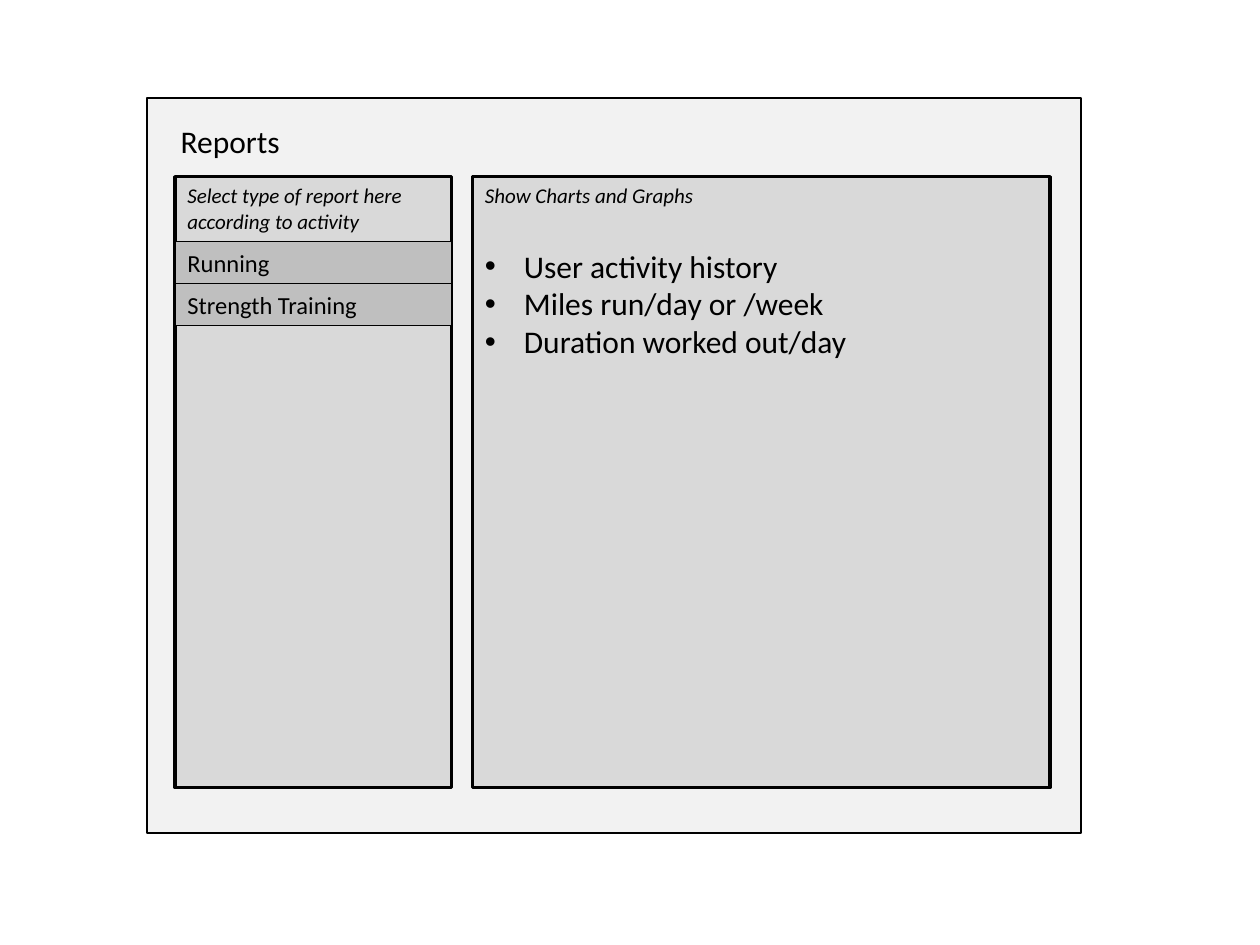
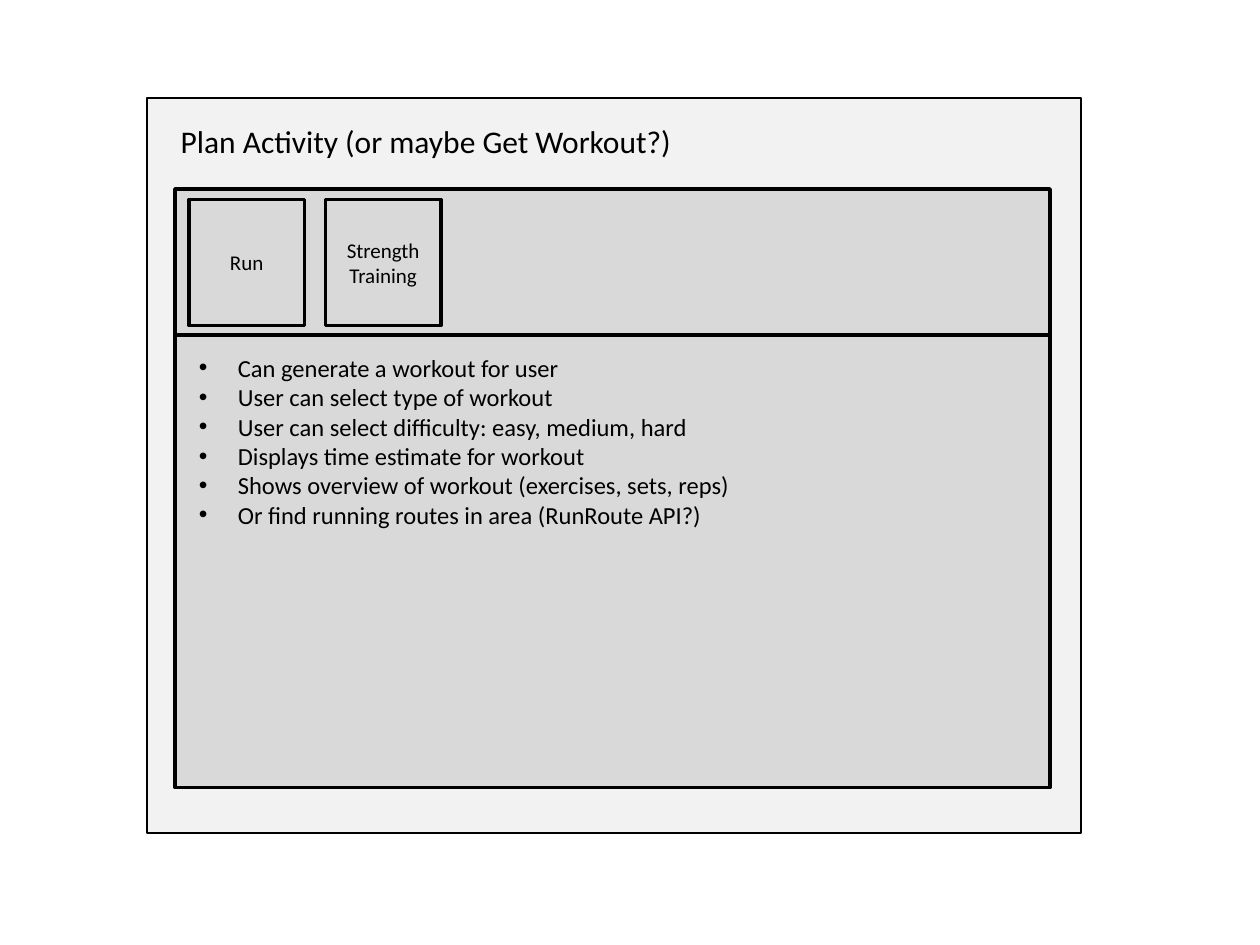
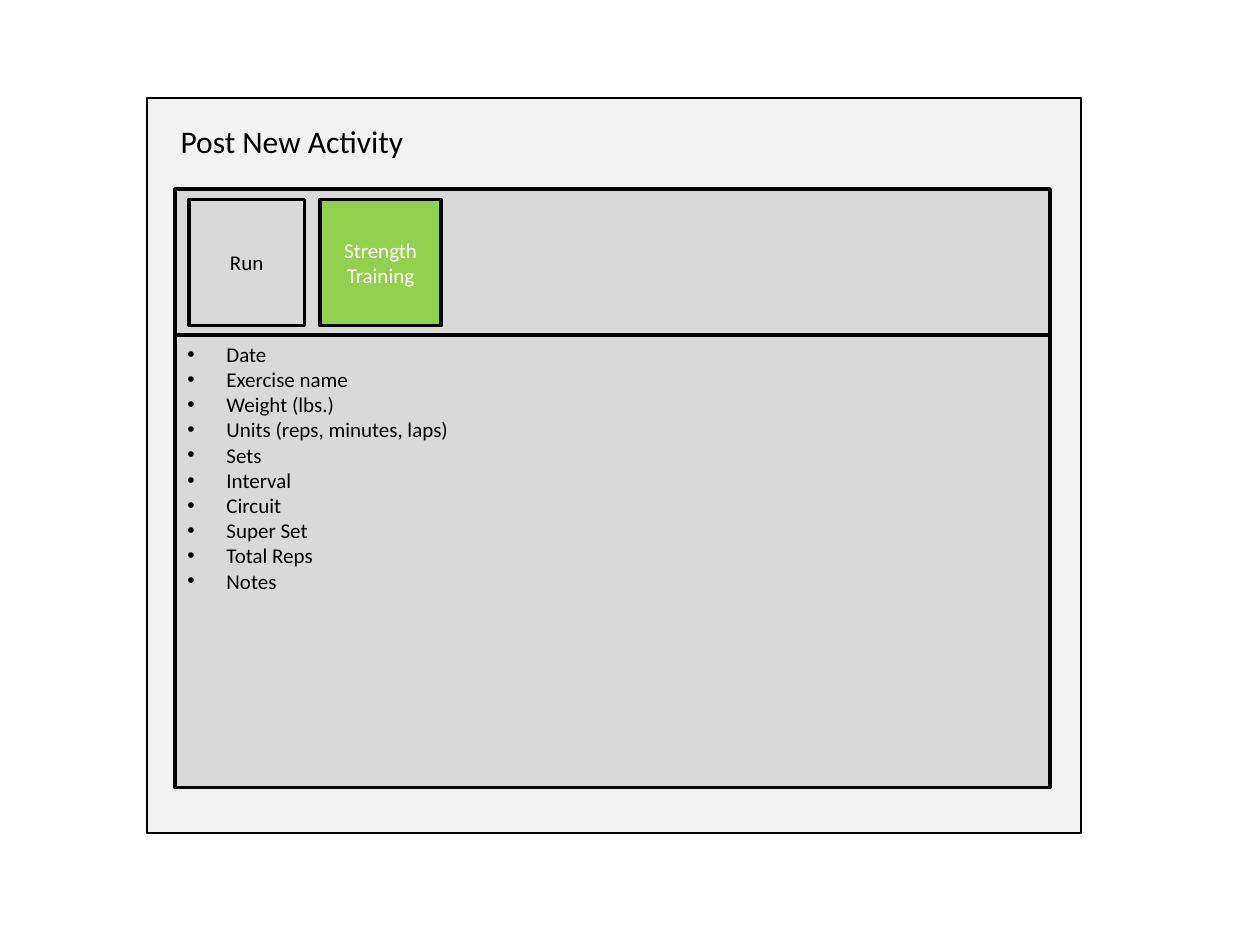
from lxml.etree import SubElement
from pptx import Presentation
from pptx.dml.color import RGBColor
from pptx.enum.shapes import MSO_SHAPE
from pptx.enum.text import MSO_ANCHOR as ANCHOR, MSO_AUTO_SIZE as AUTO_SIZE, PP_ALIGN as ALIGN
from pptx.oxml.ns import qn
from pptx.util import Inches, Pt

BLACK = RGBColor(0x00, 0x00, 0x00)
WHITE = RGBColor(0xFF, 0xFF, 0xFF)
FRAME_GRAY = RGBColor(0xF2, 0xF2, 0xF2)
PANEL_GRAY = RGBColor(0xD9, 0xD9, 0xD9)
ROW_GRAY = RGBColor(0xBF, 0xBF, 0xBF)
SELECTED_GREEN = RGBColor(0x92, 0xD0, 0x50)
FONT = "Calibri"
BULLET_INDENT = Inches(0.31)

presentation = Presentation()
presentation.slide_width = Inches(10)
presentation.slide_height = Inches(7.5)
UNIT = presentation.slide_width // 360

LEFT, RIGHT, BOTTOM = 50, 300, 225
REPORT_TOP, SIDEBAR_WIDTH, CHARTS_LEFT = 50.5, 79, 135
ROW_TOP, ROW_HEIGHT = 69, 12
TABS_TOP, DETAILS_TOP = 54, 95.75
TILE_TOP, TILE_HEIGHT, TILES_RIGHT = 57, 36, 126


def add_box(slide, left, top, width, height, fill=None, line_width=2, anchor=ANCHOR.TOP):
    box = slide.shapes.add_shape(
        MSO_SHAPE.RECTANGLE, *(int(units * UNIT) for units in (left, top, width, height)))
    box.shadow.inherit = False
    if fill is None:
        box.fill.background()
    else:
        box.fill.solid()
        box.fill.fore_color.rgb = fill
    box.line.color.rgb = BLACK
    box.line.width = Pt(line_width)
    box.text_frame.vertical_anchor = anchor
    return box


def add_lines(text_frame, lines, size, color=BLACK, align=ALIGN.LEFT, italic=False, bulleted=False):
    for line in lines:
        paragraph = text_frame.add_paragraph() if text_frame.text else text_frame.paragraphs[0]
        paragraph.text = line
        paragraph.alignment = align
        font = paragraph.runs[0].font
        font.name = FONT
        font.size = Pt(size)
        font.italic = italic
        font.color.rgb = color
        if bulleted:
            properties = paragraph._p.get_or_add_pPr()
            properties.set("marL", str(BULLET_INDENT))
            properties.set("indent", str(-BULLET_INDENT))
            SubElement(properties, qn("a:buFont"), typeface="Arial")
            SubElement(properties, qn("a:buChar"), char="•")


slides = []
for heading, title_width in (
    ("Reports", 87),
    ("Plan Activity (or maybe Get Workout?)", 252),
    ("Post New Activity", 87),
):
    slide = presentation.slides.add_slide(presentation.slide_layouts[5])
    title = slide.shapes.title
    title.left, title.top = 48 * UNIT, 33 * UNIT
    title.width, title.height = title_width * UNIT, Inches(0.4)
    title.text_frame.vertical_anchor = ANCHOR.MIDDLE
    title.text_frame.auto_size = AUTO_SIZE.SHAPE_TO_FIT_TEXT
    add_lines(title.text_frame, [heading], 18)
    frame = add_box(slide, 42, 28, 267, 210, FRAME_GRAY, 1)
    title.element.addprevious(frame.element)
    slides.append(slide)
reports, plan, post = slides

charts = add_box(reports, CHARTS_LEFT, REPORT_TOP, RIGHT - CHARTS_LEFT, BOTTOM - REPORT_TOP, PANEL_GRAY)
add_lines(charts.text_frame, ["Show Charts and Graphs"], 12, italic=True)
add_lines(charts.text_frame, [
    "User activity history",
    "Miles run/day or /week",
    "Duration worked out/day",
], 18, bulleted=True)
charts.text_frame.paragraphs[1].space_before = Pt(22)

sidebar = add_box(reports, LEFT, REPORT_TOP, SIDEBAR_WIDTH, BOTTOM - REPORT_TOP, PANEL_GRAY)
add_lines(sidebar.text_frame, ["Select type of report here according to activity"], 12, italic=True)
for index, activity in enumerate(("Running", "Strength Training")):
    row = add_box(reports, LEFT, ROW_TOP + index * ROW_HEIGHT, SIDEBAR_WIDTH, ROW_HEIGHT,
                  ROW_GRAY, 1, ANCHOR.MIDDLE)
    add_lines(row.text_frame, [activity], 14)

details = {}
for slide, strength_width, strength_fill, strength_color in (
    (plan, 33, None, BLACK),
    (post, 34.5, SELECTED_GREEN, WHITE),
):
    details[slide.slide_id] = add_box(
        slide, LEFT, DETAILS_TOP, RIGHT - LEFT, BOTTOM - DETAILS_TOP, PANEL_GRAY)
    add_box(slide, LEFT, TABS_TOP, RIGHT - LEFT, DETAILS_TOP - TABS_TOP, PANEL_GRAY)
    for activity, left, width, fill, color in (
        ("Run", 54, 33, None, BLACK),
        ("Strength Training", TILES_RIGHT - strength_width, strength_width, strength_fill, strength_color),
    ):
        tile = add_box(slide, left, TILE_TOP, width, TILE_HEIGHT, fill, anchor=ANCHOR.MIDDLE)
        add_lines(tile.text_frame, [activity], 12, color, ALIGN.CENTER)

ideas = plan.shapes.add_textbox(int(53.25 * UNIT), 99 * UNIT, 160 * UNIT, Inches(1.51))
ideas.text_frame.word_wrap = False
ideas.text_frame.auto_size = AUTO_SIZE.SHAPE_TO_FIT_TEXT
add_lines(ideas.text_frame, [
    "Can generate a workout for user",
    "User can select type of workout",
    "User can select difficulty: easy, medium, hard",
    "Displays time estimate for workout",
    "Shows overview of workout (exercises, sets, reps)",
    "Or find running routes in area (RunRoute API?)",
], 14, bulleted=True)

add_lines(details[post.slide_id].text_frame, [
    "Date",
    "Exercise name",
    "Weight (lbs.)",
    "Units (reps, minutes, laps)",
    "Sets",
    "Interval",
    "Circuit",
    "Super Set",
    "Total Reps",
    "Notes",
], 12, bulleted=True)

presentation.save("out.pptx")
